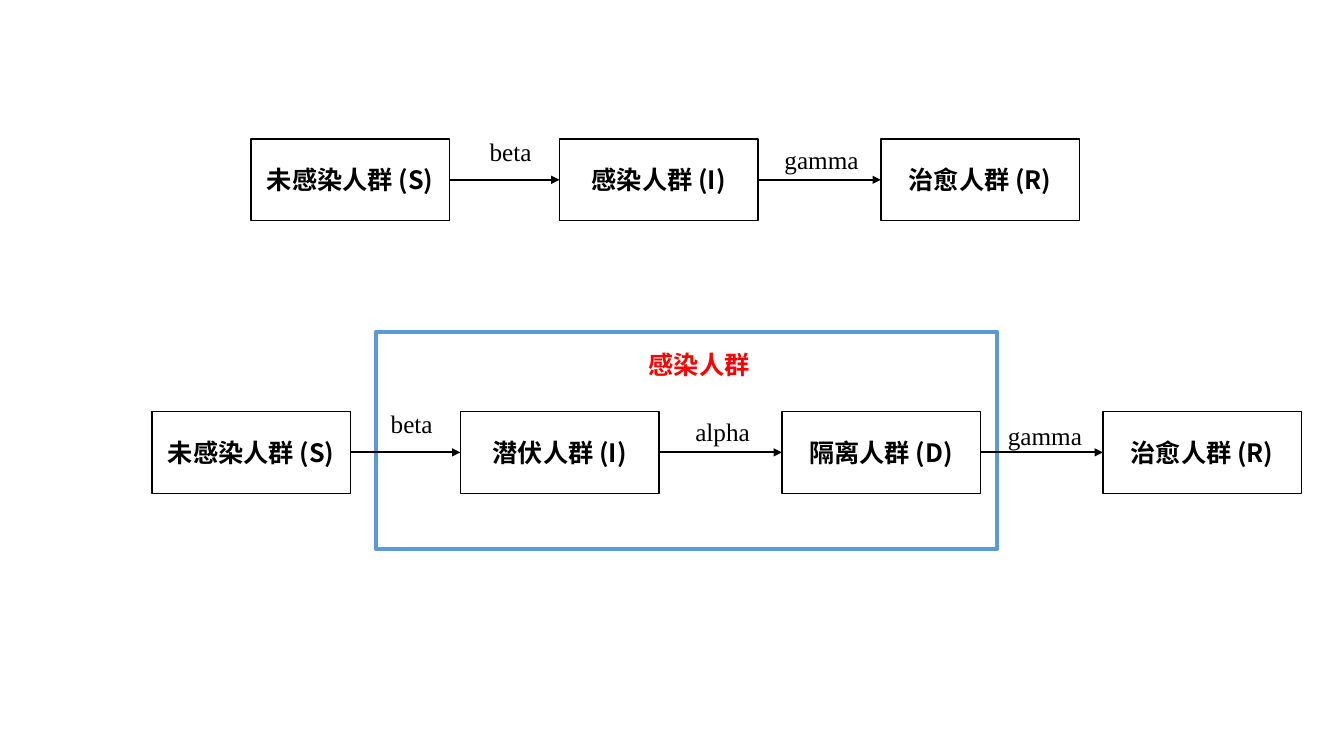
"""Draws the SIR flow above its extended form with an isolated group."""
from lxml import etree
from pptx import Presentation
from pptx.dml.color import RGBColor
from pptx.enum import shapes, text
from pptx.oxml import ns
from pptx.util import Pt

BLACK = RGBColor(0, 0, 0)
WHITE = RGBColor(255, 255, 255)
RED = RGBColor(255, 0, 0)
BLUE = RGBColor(0x5B, 0x9B, 0xD5)
CJK, LATIN = "Noto Sans CJK SC", "Times New Roman"
BOX_W, BOX_H, LABEL_H = 141.8, 58.5, 29
BOX_OFFSETS = (0, 220.4, 450, 679.3)
LABEL_OFFSETS = ((160.4, -5.6, 50.4), (373.1, 0, 69.1), (603.4, 3, 69.1))


class Flow:
    def __init__(self, prs):
        self.s = prs.slides.add_slide(prs.slide_layouts[6])
        self.group()

    def group(self):
        self.shapes = self.s.shapes.add_group_shape().shapes

    def set_text(self, sp, words, font, color=BLACK, bold=False):
        p = sp.text_frame.paragraphs[0]
        p.text = words
        p.alignment = text.PP_ALIGN.CENTER
        f = p.font
        f.name, f.size, f.bold = font, Pt(18), bold
        f.color.rgb = color
        latin = p._p.pPr.find(".//" + ns.qn("a:latin"))
        latin.addnext(latin.makeelement(ns.qn("a:ea"), {"typeface": font}))

    def rect(self, x, y, w, h, color=BLACK, width=1):
        sp = self.shapes.add_shape(shapes.MSO_SHAPE.RECTANGLE,
                                   Pt(x), Pt(y), Pt(w), Pt(h))
        sp.shadow.inherit = False
        sp.fill.solid()
        sp.fill.fore_color.rgb = WHITE
        sp.line.color.rgb = color
        sp.line.width = Pt(width)
        return sp

    def box(self, x, y, words):
        sp = self.rect(x, y, BOX_W, BOX_H)
        sp.text_frame.word_wrap = True
        sp.text_frame.vertical_anchor = text.MSO_ANCHOR.MIDDLE
        self.set_text(sp, words, CJK, bold=True)
        return sp

    def label(self, x, y, w, words, font=LATIN, color=BLACK, bold=False):
        sp = self.shapes.add_textbox(Pt(x), Pt(y), Pt(w), Pt(LABEL_H))
        sp.text_frame.word_wrap = True
        sp.text_frame.auto_size = text.MSO_AUTO_SIZE.SHAPE_TO_FIT_TEXT
        self.set_text(sp, words, font, color, bold)

    def arrow(self, source, target):
        c = self.shapes.add_connector(shapes.MSO_CONNECTOR.STRAIGHT, 0, 0, 0, 0)
        c.begin_connect(source, 3)
        c.end_connect(target, 1)
        c.line.color.rgb = BLACK
        c.line.width = Pt(1.5)
        pr = c._element.spPr
        etree.SubElement(pr.find(ns.qn("a:ln")), ns.qn("a:tailEnd"), type="triangle")
        etree.SubElement(pr, ns.qn("a:effectLst"))

    def row(self, x, y, groups, rates):
        boxes = [self.box(x + dx, y, g) for dx, g in zip(BOX_OFFSETS, groups)]
        for source, target in zip(boxes, boxes[1:]):
            self.arrow(source, target)
        for (dx, dy, w), rate in zip(LABEL_OFFSETS, rates):
            self.label(x + dx, y + dy, w, rate)


prs = Presentation()
prs.slide_width, prs.slide_height = Pt(960), Pt(540)
flow = Flow(prs)
flow.row(179.2, 99.2, ("未感染人群 (S)", "感染人群 (I)", "治愈人群 (R)"),
         ("beta", "gamma"))
flow.group()
flow.rect(268.6, 236.9, 443.5, 155.5, BLUE, 3)
flow.row(108.5, 293.9,
         ("未感染人群 (S)", "潜伏人群 (I)", "隔离人群 (D)", "治愈人群 (R)"),
         ("beta", "alpha", "gamma"))
flow.label(445.7, 246.2, 107.3, "感染人群", CJK, RED, True)
prs.save("out.pptx")
